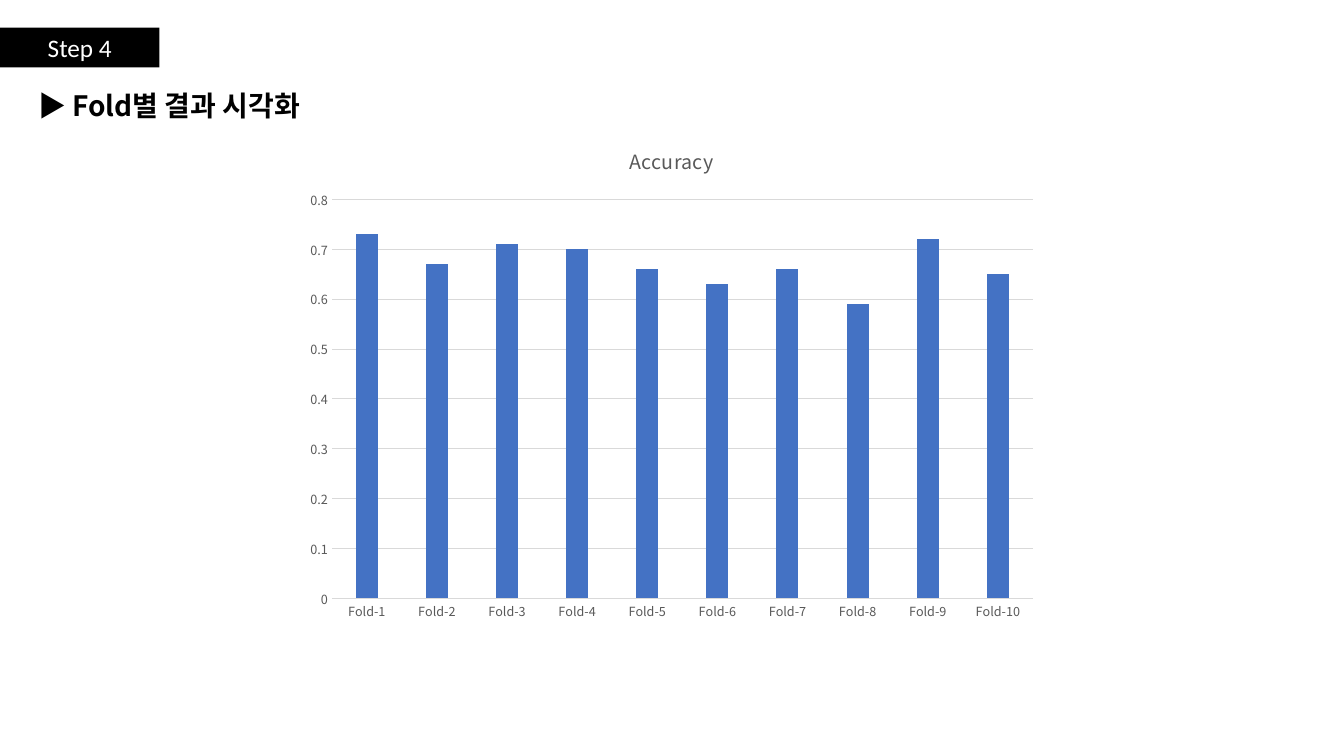
from lxml.etree import SubElement
from pptx import Presentation
from pptx.chart.data import CategoryChartData
from pptx.dml.color import RGBColor
from pptx.enum.chart import XL_CHART_TYPE, XL_TICK_MARK
from pptx.enum.shapes import MSO_SHAPE
from pptx.enum.text import MSO_ANCHOR, MSO_AUTO_SIZE, PP_ALIGN
from pptx.oxml.ns import qn
from pptx.util import Cm, Pt

COLORS = {"black": "000000", "white": "FFFFFF", "label": "595959",
          "grid": "D9D9D9", "bar": "4472C4"}
KOREAN = "Noto Sans CJK KR"


def color(name):
    return RGBColor.from_string(COLORS[name])


def style_font(font, size, color_name, name=KOREAN, bold=False):
    values = {"size": Pt(size), "name": name, "bold": bold}
    for attribute, value in values.items():
        setattr(font, attribute, value)
    font.color.rgb = color(color_name)


deck = Presentation()
deck.slide_width, deck.slide_height = Cm(33.87), Cm(19.05)
slide = deck.slides.add_slide(deck.slide_layouts[6])

# Step band
band = slide.shapes.add_shape(MSO_SHAPE.RECTANGLE, Cm(0), Cm(0.7), Cm(4.02), Cm(1))
band.shadow.inherit = False
band.fill.solid()
band.fill.fore_color.rgb = color("black")
band.line.fill.background()

# Step label and heading
texts = [
    ("Step 4", (0, 0.69, 4.02, 1.03), True, PP_ALIGN.CENTER,
     (18, "white", "Calibri", False)),
    ("▶ Fold별 결과 시각화", (0.71, 2.11, 7.7, 1.11), False, PP_ALIGN.LEFT,
     (20, "black", KOREAN, True)),
]
for text, place, wrap, align, font_style in texts:
    frame = slide.shapes.add_textbox(*map(Cm, place)).text_frame
    frame_format = {"word_wrap": wrap, "vertical_anchor": MSO_ANCHOR.TOP,
                    "auto_size": MSO_AUTO_SIZE.SHAPE_TO_FIT_TEXT}
    for attribute, value in frame_format.items():
        setattr(frame, attribute, value)
    paragraph = frame.paragraphs[0]
    paragraph.alignment = align
    run = paragraph.add_run()
    run.text = text
    style_font(run.font, *font_style)
    # East Asian typeface for the Hangul
    SubElement(run.font._element, qn("a:ea"), typeface=font_style[2])

# Accuracy per fold
accuracy = [0.73, 0.67, 0.71, 0.7, 0.66, 0.63, 0.66, 0.59, 0.72, 0.65]
data = CategoryChartData()
data.categories = [f"Fold-{number}" for number in range(1, len(accuracy) + 1)]
data.add_series("Accuracy", accuracy)
chart = slide.shapes.add_chart(XL_CHART_TYPE.COLUMN_CLUSTERED, Cm(7.44), Cm(3.15),
                               Cm(18.97), Cm(12.73), data).chart
chart.has_legend = False
style_font(chart.font, 10, "black")

# Chart title
chart.has_title = True
chart.chart_title.include_in_layout = False
title = chart.chart_title.text_frame.paragraphs[0].add_run()
title.text = "Accuracy"
style_font(title.font, 14, "label")

# Bars
plot = chart.plots[0]
for attribute, value in {"gap_width": 219, "overlap": -27,
                         "vary_by_categories": False}.items():
    setattr(plot, attribute, value)
bars = plot.series[0].format.fill
bars.solid()
bars.fore_color.rgb = color("bar")

# Axes and gridlines
folds, scale = chart.category_axis, chart.value_axis
for axis in (folds, scale):
    axis.major_tick_mark = axis.minor_tick_mark = XL_TICK_MARK.NONE
    style_font(axis.tick_labels.font, 9, "label")
for attribute, value in {"minimum_scale": 0, "maximum_scale": 0.8, "major_unit": 0.1,
                         "has_major_gridlines": True}.items():
    setattr(scale, attribute, value)
scale.format.line.fill.background()
for line in (folds.format.line, scale.major_gridlines.format.line):
    line.color.rgb = color("grid")
    line.width = Pt(0.75)

deck.save("out.pptx")
